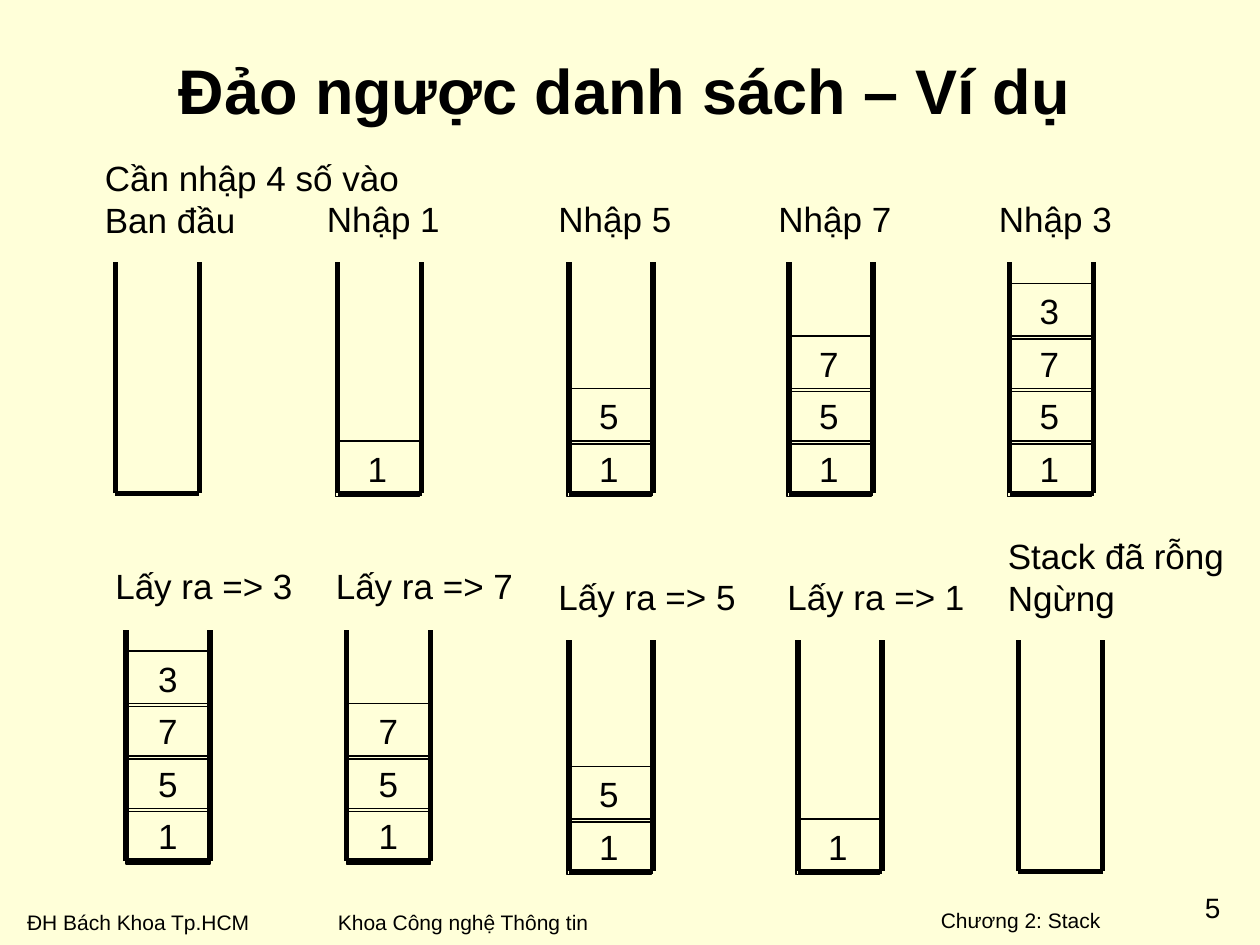
from dataclasses import dataclass
from lxml.etree import SubElement
from pptx import Presentation
from pptx.dml.color import RGBColor
from pptx.enum.shapes import MSO_CONNECTOR, MSO_SHAPE
from pptx.enum.text import MSO_ANCHOR, MSO_AUTO_SIZE, PP_ALIGN
from pptx.oxml.ns import qn
from pptx.util import Inches, Pt


@dataclass(frozen=True)
class Theme:
    font: str = "Arial"
    ink: RGBColor = RGBColor(0, 0, 0)
    paper: RGBColor = RGBColor(0xFF, 0xFF, 0xD9)
    title: int = 36
    body: int = 20
    number: int = 16
    foot: int = 12
    wall: float = 3
    edge: float = 0.75
    gap: float = 12.5


@dataclass(frozen=True)
class Stack:
    col: float
    rim: float
    label: str
    span: float
    items: str = ""
    shift: float = -0.2


THEME = Theme()
COLS, ROWS = 120, 90
WIDE, DEEP = 8, 22
STEP, CELL = 5, 5.3

STACKS = (
    Stack(11, 25, "Cần nhập 4 số vào\nBan đầu", 30.8),
    Stack(32.15, 25, "Nhập 1", 13.2, "1"),
    Stack(54.2, 25, "Nhập 5", 13.2, "15"),
    Stack(75.15, 25, "Nhập 7", 13.2, "157"),
    Stack(96.15, 25, "Nhập 3", 13.2, "1573"),
    Stack(12, 60, "Lấy ra => 3", 19.3, "1573", 0),
    Stack(33, 60, "Lấy ra => 7", 19.3, "157", 0),
    Stack(54.2, 61, "Lấy ra => 5", 19.3, "15"),
    Stack(76, 61, "Lấy ra => 1", 19.3, "1"),
    Stack(97, 61, "Stack đã rỗng\nNgừng", 23.8),
)

FOOTS = (
    ("ĐH Bách Khoa Tp.HCM", (1.4, 86, 23.6, 3.6), PP_ALIGN.LEFT),
    ("Khoa Công nghệ Thông tin", (31, 86, 26.3, 3.6), PP_ALIGN.LEFT),
    ("Chương 2: Stack", (38, 85.8, 68, 3.6), PP_ALIGN.RIGHT),
)


def grid(*units):
    return [Inches(10 * unit / COLS) for unit in units]


def write(frame, text, size, align=PP_ALIGN.LEFT, bold=False, gap=0):
    frame.text = text
    for line in frame.paragraphs:
        line.alignment = align
        line.space_before = Pt(gap)
        font = line.font
        font.name, font.size, font.bold = THEME.font, Pt(size), bold
        font.color.rgb = THEME.ink


def add_text(shapes, text, box, size, align=PP_ALIGN.LEFT, wrap=False):
    frame = shapes.add_textbox(*grid(*box)).text_frame
    frame.word_wrap = wrap
    frame.auto_size = MSO_AUTO_SIZE.SHAPE_TO_FIT_TEXT
    write(frame, text, size, align)
    return frame


def add_wall(shapes, *ends):
    wall = shapes.add_connector(MSO_CONNECTOR.STRAIGHT, *grid(*ends))
    wall.line.color.rgb = THEME.ink
    wall.line.width = Pt(THEME.wall)
    SubElement(wall._element.spPr, qn("a:effectLst"))


def add_cell(shapes, text, col, row):
    cell = shapes.add_shape(MSO_SHAPE.RECTANGLE, *grid(col, row, WIDE, CELL))
    cell.shadow.inherit = False
    cell.fill.background()
    cell.line.color.rgb = THEME.ink
    cell.line.width = Pt(THEME.edge)
    frame = cell.text_frame
    frame.word_wrap = True
    frame.auto_size = MSO_AUTO_SIZE.SHAPE_TO_FIT_TEXT
    frame.vertical_anchor = MSO_ANCHOR.TOP
    write(frame, text, THEME.body, PP_ALIGN.CENTER, gap=THEME.gap)


def add_stack(slide, stack):
    shapes = slide.shapes.add_group_shape().shapes
    left, right = stack.col, stack.col + WIDE
    floor = stack.rim + DEEP
    add_wall(shapes, left, floor, right, floor)
    for side in (right, left):
        add_wall(shapes, side, floor, side, stack.rim)
    high = CELL + 3.9 * stack.label.count("\n")
    box = (left - 2.2, stack.rim - 1.5 - high, stack.span, high)
    add_text(shapes, stack.label, box, THEME.body)
    for index, item in enumerate(stack.items, 1):
        add_cell(shapes, item, left + stack.shift, floor - STEP * index)


def add_title(slide, text):
    title = slide.shapes.title
    title.left, title.top, title.width, title.height = grid(11, 1, 97, 15)
    title.text_frame.vertical_anchor = MSO_ANCHOR.MIDDLE
    write(title.text_frame, text, THEME.title, PP_ALIGN.CENTER, bold=True)


def add_foot(slide):
    for text, box, align in FOOTS:
        wrap = align == PP_ALIGN.RIGHT
        add_text(slide.shapes, text, box, THEME.foot, align, wrap)
    box = (112.9, 84.8, 5.2, 3.2)
    frame = add_text(slide.shapes, "5", box, THEME.number, PP_ALIGN.CENTER, True)
    frame.margin_left = frame.margin_right = 0
    frame.margin_top = frame.margin_bottom = 0


def main():
    deck = Presentation()
    deck.slide_width, deck.slide_height = grid(COLS, ROWS)
    slide = deck.slides.add_slide(deck.slide_layouts[5])
    slide.background.fill.solid()
    slide.background.fill.fore_color.rgb = THEME.paper
    add_foot(slide)
    add_title(slide, "Đảo ngược danh sách – Ví dụ")
    for stack in STACKS:
        add_stack(slide, stack)
    deck.save("out.pptx")


if __name__ == "__main__":
    main()
